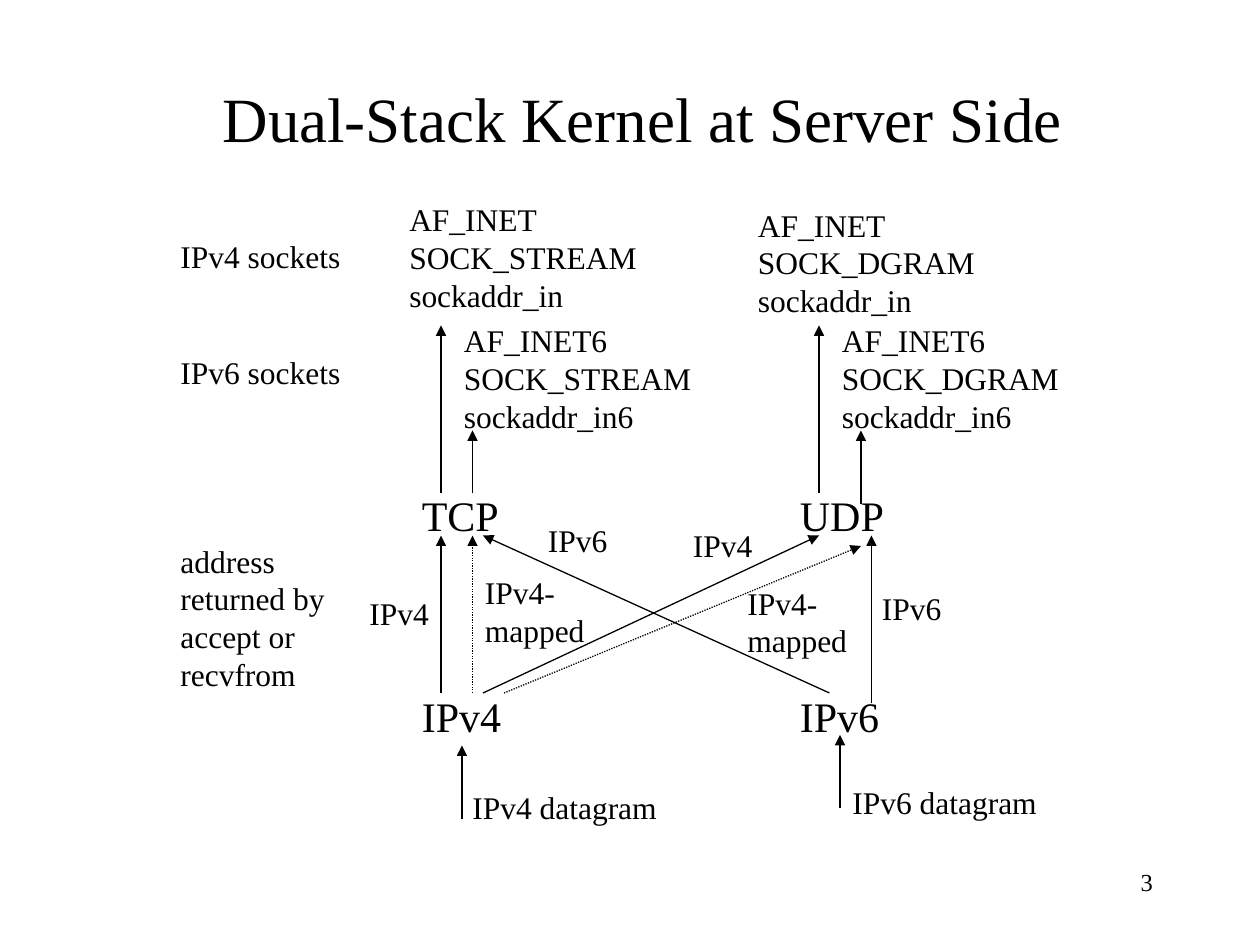
from dataclasses import dataclass

from lxml.etree import SubElement
from pptx import Presentation
from pptx.dml.color import RGBColor
from pptx.enum.dml import MSO_LINE_DASH_STYLE as Dash
from pptx.enum.shapes import MSO_CONNECTOR as Connector
from pptx.enum.text import MSO_ANCHOR as Anchor, MSO_AUTO_SIZE as AutoSize, PP_ALIGN as Align
from pptx.oxml.ns import qn
from pptx.util import Inches, Pt

COLORS = {"ink": "000000"}
FONT = "Times New Roman"
COLUMNS, ROWS = 120, 90
SLIDE_WIDTH, SLIDE_HEIGHT = Inches(10), Inches(7.5)


@dataclass(frozen=True)
class Label:
    """Lines of text in a box given in grid columns and rows."""
    lines: tuple[str, ...]
    column: float
    row: float
    width: float
    height: float
    size: int = 18
    align: Align = Align.LEFT


@dataclass(frozen=True)
class Arrow:
    """An arrow between two grid points."""
    start: tuple[float, float]
    end: tuple[float, float]
    dotted: bool = False


TITLE = Label(("Dual-Stack Kernel at Server Side",), 20, 7, 82.4, 8.4, 36)


def protocol(name: str, column: float, row: float) -> Label:
    return Label((name,), column, row, 11, 6, 24)


def socket(suffix: str, kind: str, column: float, row: float) -> Label:
    lines = (f"AF_INET{suffix}", f"SOCK_{kind}", f"sockaddr_in{suffix}")
    return Label(lines, column, row, 24, 12)


def caption(text: str, column: float, row: float, width: float) -> Label:
    return Label((text,), column, row, width, 4.8)


def mapped(column: float, row: float) -> Label:
    return Label(("IPv4-", "mapped"), column, row, 11.9, 8.4)


LABELS = (
    protocol("TCP", 39, 46),
    protocol("UDP", 75, 46),
    protocol("IPv4", 39, 65.2),
    protocol("IPv6", 75, 65.2),
    socket("", "STREAM", 37.8, 18.5),
    socket("6", "STREAM", 43, 30),
    socket("", "DGRAM", 71, 19),
    socket("6", "DGRAM", 79, 30),
    caption("IPv4 sockets", 16, 22, 17.6),
    caption("IPv6 sockets", 16, 33, 17.6),
    caption("IPv4 datagram", 43.8, 74.5, 20),
    caption("IPv6 datagram", 80, 74, 20),
    caption("IPv4", 34, 56, 8),
    caption("IPv6", 51, 49, 8),
    caption("IPv6", 82.8, 55.5, 8),
    caption("IPv4", 64.8, 49.5, 8),
    mapped(45, 54),
    mapped(70, 55),
    Label(("address", "returned by", "accept or", "recvfrom"), 16, 51, 16, 15.6),
    Label(("3",), 86, 82, 25, 6, 14, Align.RIGHT),
)

ARROWS = (
    # Datagrams to IP
    Arrow((44, 78), (44, 71)),
    Arrow((80, 77), (80, 70)),
    # IP to transport
    Arrow((42, 66), (42, 51)),
    Arrow((83, 67), (83, 51)),
    Arrow((46, 66), (78, 51)),
    Arrow((79, 66), (46, 51)),
    Arrow((45, 66), (45, 51), dotted=True),
    Arrow((48, 66), (82, 52), dotted=True),
    # Transport to sockets
    Arrow((42, 47), (42, 31)),
    Arrow((45, 47), (45, 41)),
    Arrow((78, 47), (78, 31)),
    Arrow((82, 48), (82, 41)),
)


def x(column: float) -> int:
    return round(SLIDE_WIDTH * column / COLUMNS)


def y(row: float) -> int:
    return round(SLIDE_HEIGHT * row / ROWS)


def write_label(box, label: Label) -> None:
    """Place a text shape and fill it with the label's lines."""
    box.left, box.top = x(label.column), y(label.row)
    box.width, box.height = x(label.width), y(label.height)
    frame = box.text_frame
    frame.word_wrap = label.align == Align.RIGHT
    frame.auto_size = AutoSize.NONE
    frame.vertical_anchor = Anchor.TOP
    for index, line in enumerate(label.lines):
        paragraph = frame.add_paragraph() if index else frame.paragraphs[0]
        paragraph.alignment = label.align
        run = paragraph.add_run()
        run.text = line
        run.font.name = FONT
        run.font.size = Pt(label.size)
        run.font.color.rgb = RGBColor.from_string(COLORS["ink"])


def draw_arrow(shapes, arrow: Arrow) -> None:
    (start_column, start_row), (end_column, end_row) = arrow.start, arrow.end
    connector = shapes.add_connector(
        Connector.STRAIGHT, x(start_column), y(start_row), x(end_column), y(end_row))
    line = connector.line
    line.color.rgb = RGBColor.from_string(COLORS["ink"])
    line.width = Pt(0.75)
    if arrow.dotted:
        line.dash_style = Dash.ROUND_DOT
    properties = connector._element.spPr
    SubElement(properties.find(qn("a:ln")), qn("a:tailEnd"), type="triangle")
    SubElement(properties, qn("a:effectLst"))


def main() -> None:
    presentation = Presentation()
    presentation.slide_width, presentation.slide_height = SLIDE_WIDTH, SLIDE_HEIGHT
    title_only = presentation.slide_layouts[5]
    shapes = presentation.slides.add_slide(title_only).shapes
    write_label(shapes.title, TITLE)
    for arrow in ARROWS:
        draw_arrow(shapes, arrow)
    for label in LABELS:
        write_label(shapes.add_textbox(0, 0, 0, 0), label)
    presentation.save("out.pptx")


if __name__ == "__main__":
    main()
